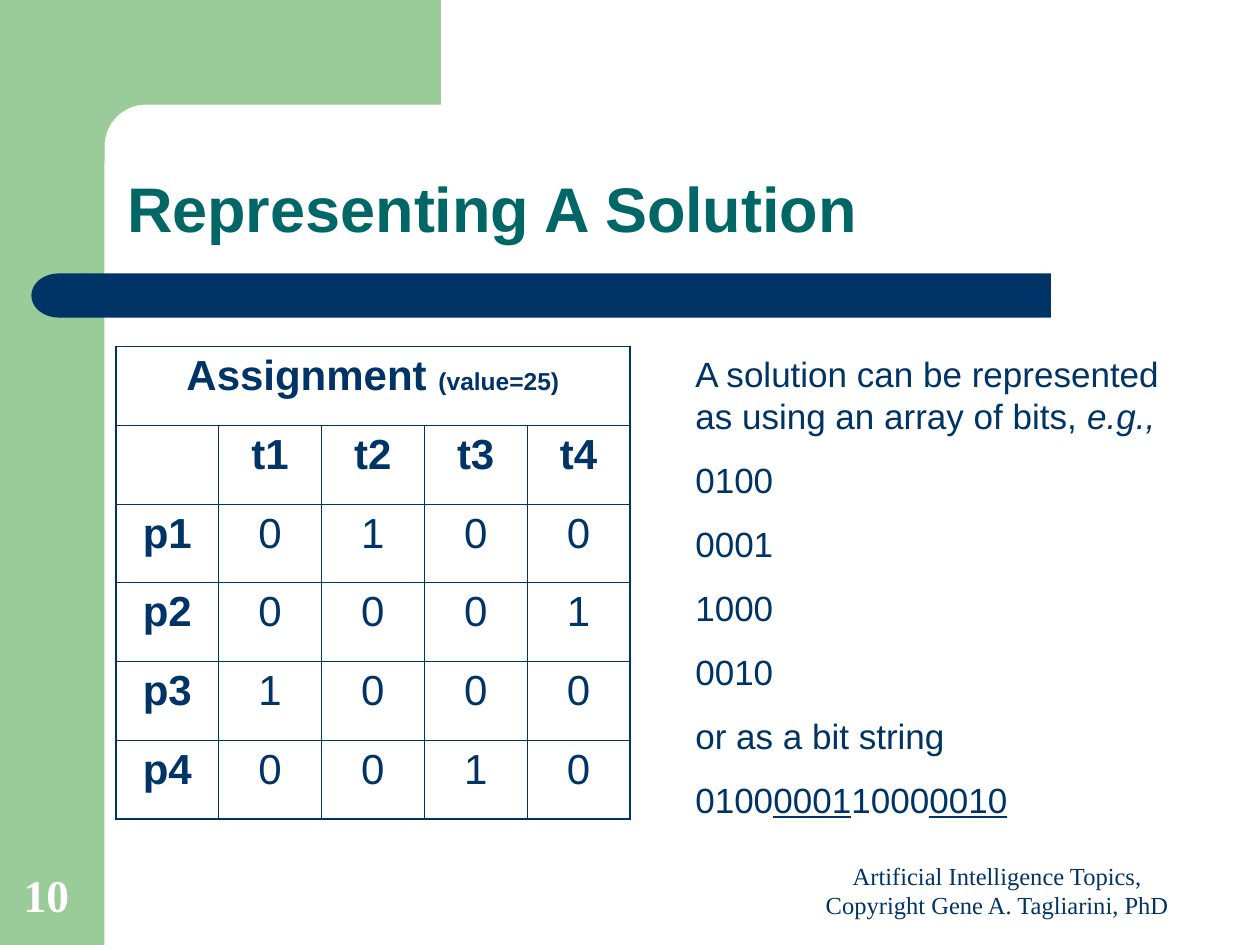
from math import cos, pi, sin

from lxml import etree
from pptx import Presentation
from pptx import util as u
from pptx.dml.color import RGBColor
from pptx.enum import shapes, text
from pptx.oxml import ns

GREEN, NAVY, TEAL, WHITE = "99CC99", "003366", "006666", "FFFFFF"
SANS, SERIF = "Arial", "Times New Roman"

TITLE = [[("Representing A Solution", "b")]]
HEADING = [("Assignment ", 24), ("(value=25)", 14)]
GRID = [
    ["", "t1", "t2", "t3", "t4"],
    ["p1", "0", "1", "0", "0"],
    ["p2", "0", "0", "0", "1"],
    ["p3", "1", "0", "0", "0"],
    ["p4", "0", "0", "1", "0"],
]
BIT_ROWS = ["0100", "0001", "1000", "0010"]
BODY = [
    [("A solution can be represented as using an array of bits, ", ""), ("e.g.,", "i")],
    *[[(bits, "")] for bits in BIT_ROWS],
    [("or as a bit string", "")],
    [(bits, "u" if index % 2 else "") for index, bits in enumerate(BIT_ROWS)],
]
FOOTER = [[("Artificial Intelligence Topics, Copyright Gene A. Tagliarini, PhD", "")]]
NUMBER = [[("10", "b")]]


def color(value):
    return RGBColor.from_string(value)


def paint(shape, fill):
    shape.shadow.inherit = False
    shape.fill.solid()
    shape.fill.fore_color.rgb = color(fill)
    shape.line.fill.background()


def add_block(slide, kind, box, fill):
    shape = slide.shapes.add_shape(kind, *map(u.Inches, box))
    paint(shape, fill)
    return shape


def add_run(paragraph, words, size, font, fill, style=""):
    run = paragraph.add_run()
    run.text = words
    run.font.size = u.Pt(size)
    run.font.name = font
    run.font.color.rgb = color(fill)
    run.font.bold = "b" in style
    run.font.italic = "i" in style
    run.font.underline = "u" in style


def add_text(slide, box, paragraphs, size, font, fill, anchor="BOTTOM", align="LEFT",
             before=0, spacing=1.0):
    frame = slide.shapes.add_textbox(*map(u.Inches, box)).text_frame
    frame.word_wrap = True
    frame.vertical_anchor = text.MSO_ANCHOR[anchor]
    for index, runs in enumerate(paragraphs):
        paragraph = frame.add_paragraph() if index else frame.paragraphs[0]
        paragraph.alignment = text.PP_ALIGN[align]
        paragraph.space_before = u.Pt(before)
        paragraph.line_spacing = spacing
        for words, style in runs:
            add_run(paragraph, words, size, font, fill, style)


def set_borders(cell, outer_sides):
    properties = cell._tc.get_or_add_tcPr()
    for side in "LRTB":
        width = u.Pt(1.08 if side in outer_sides else 0.45)
        line = etree.SubElement(properties, ns.qn(f"a:ln{side}"), w=str(int(width)))
        solid = etree.SubElement(line, ns.qn("a:solidFill"))
        etree.SubElement(solid, ns.qn("a:srgbClr"), val=NAVY)


def add_assignment_table(slide):
    row_count, column_count = len(GRID) + 1, len(GRID[0])
    frame = slide.shapes.add_table(row_count, column_count, u.Inches(0.92), u.Inches(2.75),
                                   u.Inches(4.08), u.Inches(3.75))
    table = frame.table
    table.first_row = table.horz_banding = False
    table.cell(0, 0).merge(table.cell(0, column_count - 1))
    for row in range(row_count):
        for column in range(column_count):
            cell = table.cell(row, column)
            outer = {
                "L": column == 0,
                "R": column == column_count - 1 or row == 0,
                "T": row == 0,
                "B": row == row_count - 1,
            }
            set_borders(cell, [side for side, is_outer in outer.items() if is_outer])
            cell.fill.background()
            paragraph = cell.text_frame.paragraphs[0]
            paragraph.alignment = text.PP_ALIGN.CENTER
            paragraph.space_before = u.Pt(6 if row else 3.5)
            if row and GRID[row - 1][column]:
                style = "b" if row == 1 or column == 0 else ""
                add_run(paragraph, GRID[row - 1][column], 24, SANS, NAVY, style)
    for words, size in HEADING:
        add_run(table.cell(0, 0).text_frame.paragraphs[0], words, size, SANS, NAVY, "b")


def add_corner(slide):
    center, radius, steps = 1.16, 0.33, 16
    angles = [pi / 2 * step / steps for step in range(steps + 1)]
    curve = [(center - radius * sin(a), center - radius * cos(a)) for a in angles]
    points = [(3.5, 0.83), *curve, (0.83, 1.28), (0.5, 1.28), (0.5, 0)]
    builder = slide.shapes.build_freeform(u.Inches(3.5), 0, scale=1.0)
    builder.add_line_segments([(u.Inches(x), u.Inches(y)) for x, y in points], close=True)
    paint(builder.convert_to_shape(), GREEN)


def main():
    presentation = Presentation()
    presentation.slide_width, presentation.slide_height = u.Inches(10), u.Inches(7.5)
    slide = presentation.slides.add_slide(presentation.slide_layouts[6])

    kinds = shapes.MSO_SHAPE
    add_block(slide, kinds.RECTANGLE, (0, 0, 0.83, 7.5), GREEN)
    add_corner(slide)
    add_block(slide, kinds.ROUNDED_RECTANGLE, (0.67, 2.17, 7.67, 0.35), NAVY).adjustments[0] = 0
    bar_end = add_block(slide, kinds.FLOWCHART_DELAY, (0.25, 2.17, 0.43, 0.35), NAVY)
    bar_end._element.spPr.xfrm.set("flipH", "1")

    add_text(slide, (0.91, 0.91, 8.51, 1.09), TITLE, 36, SANS, TEAL, spacing=0.9)
    add_assignment_table(slide)
    add_text(slide, (5.42, 2.75, 4.08, 3.81), BODY, 20, SANS, NAVY, anchor="TOP", before=12.5)
    add_text(slide, (6.33, 6.83, 3.17, 0.52), FOOTER, 14, SERIF, NAVY, align="CENTER")
    add_text(slide, (0.09, 6.83, 0.64, 0.53), NUMBER, 26, SERIF, WHITE)
    presentation.save("out.pptx")


if __name__ == "__main__":
    main()
